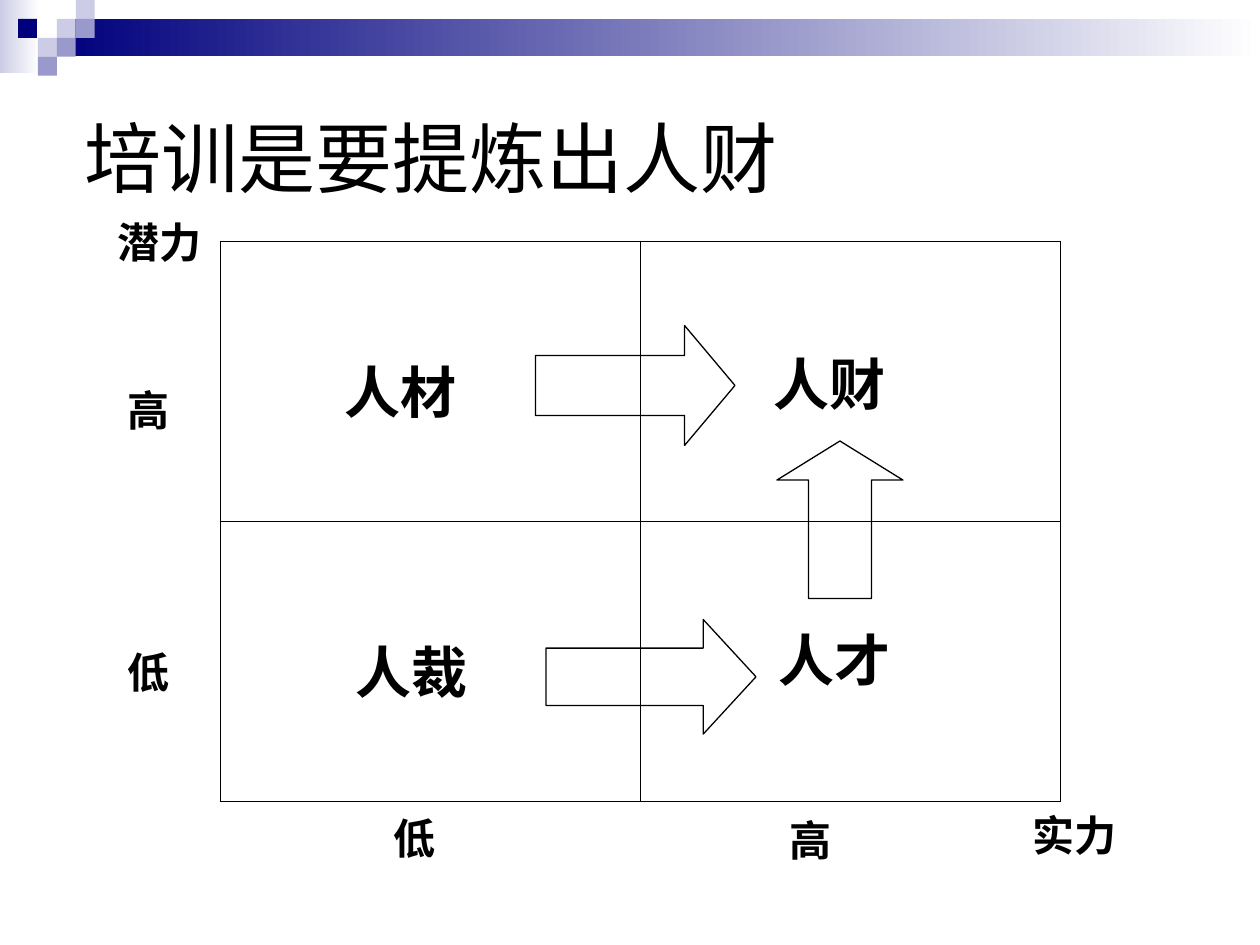
from pptx import Presentation
from pptx.dml.color import RGBColor
from pptx.enum import shapes, text
from pptx.oxml import parse_xml
from pptx.oxml.ns import nsdecls
from pptx.util import Pt

BLACK = RGBColor(0x00, 0x00, 0x00)
WHITE = RGBColor(0xFF, 0xFF, 0xFF)
NAVY = RGBColor(0x00, 0x00, 0x7D)
LILAC = RGBColor(0xCC, 0xCC, 0xE6)
VIOLET = RGBColor(0x99, 0x99, 0xCC)
SHAPE = shapes.MSO_SHAPE

prs = Presentation()
prs.slide_width, prs.slide_height = Pt(720), Pt(540)
slide = prs.slides.add_slide(prs.slide_layouts[5])


def write(tf, words, size=24, font="Times New Roman", bold=True,
          anchor=text.MSO_ANCHOR.TOP):
    tf.word_wrap = True
    tf.auto_size = text.MSO_AUTO_SIZE.NONE
    tf.vertical_anchor = anchor
    p = tf.paragraphs[0]
    p.alignment = text.PP_ALIGN.LEFT
    r = p.add_run()
    r.text = words
    r.font.size, r.font.name, r.font.bold = Pt(size), font, bold
    r.font.color.rgb = BLACK


def add_plain(kind, x, y, w, h):
    sp = slide.shapes.add_shape(kind, Pt(x), Pt(y), Pt(w), Pt(h))
    sp.shadow.inherit = False
    return sp


# Gradient bars at the top
for x, y, w, h, color in [(0, 0, 22.5, 42, LILAC), (32.5, 10.8, 687.5, 21.4, NAVY)]:
    sp = add_plain(SHAPE.RECTANGLE, x, y, w, h)
    sp.line.fill.background()
    sp.fill.gradient()
    sp.fill.gradient_angle = 180
    for stop, c, position in zip(sp.fill.gradient_stops, (WHITE, color), (0, 1)):
        stop.color.rgb = c
        stop.position = position

# Checker squares
SQUARE = 10.8
for x, row, color in [(32.5, 1, LILAC), (43.3, 0, LILAC), (43.3, 1, VIOLET),
                      (21.7, 2, LILAC), (10.3, 1, NAVY), (32.5, 2, VIOLET),
                      (21.7, 3, VIOLET)]:
    sp = add_plain(SHAPE.RECTANGLE, x, row * SQUARE, SQUARE, SQUARE)
    sp.line.fill.background()
    sp.fill.solid()
    sp.fill.fore_color.rgb = color

# Title
title = slide.shapes.title
title.left, title.top, title.width, title.height = Pt(41), Pt(41), Pt(637), Pt(97)
write(title.text_frame, "培训是要提炼出人财", size=44, font="Arial", bold=False,
      anchor=text.MSO_ANCHOR.MIDDLE)

# Two-by-two matrix: heavier outside edges, thin inside edges
table = slide.shapes.add_table(2, 2, Pt(126), Pt(138), Pt(480), Pt(320)).table
table.first_row = table.horz_banding = False
for i in range(2):
    table.columns[i].width = Pt(240)
    table.rows[i].height = Pt(160)
for row in range(2):
    for col in range(2):
        cell = table.cell(row, col)
        outside = {"L": col == 0, "R": col == 1, "T": row == 0, "B": row == 1}
        for side, is_outside in outside.items():
            width = Pt(1.08 if is_outside else 0.45)
            cell._tc.get_or_add_tcPr().append(parse_xml(
                f'<a:ln{side} {nsdecls("a")} w="{width}"><a:solidFill>'
                f'<a:srgbClr val="{BLACK}"/></a:solidFill></a:ln{side}>'))
        cell.fill.background()

# Quadrant names and axis labels
for words, x, y, w, h, size in [
        ("人裁", 196, 361, 120, 46, 32), ("人材", 190, 201, 120, 46, 32),
        ("人财", 435, 196, 120, 46, 32), ("人才", 438, 354, 120, 46, 32),
        ("低", 218, 461, 54, 36, 24), ("高", 444, 462, 54, 36, 24),
        ("低", 66, 366, 54, 36, 24), ("高", 66, 216, 54, 36, 24),
        ("实力", 583, 459, 96, 36, 24), ("潜力", 60, 120, 96, 36, 24)]:
    box = slide.shapes.add_textbox(Pt(x), Pt(y), Pt(w), Pt(h))
    write(box.text_frame, words, size=size)

# Arrows between quadrants
for kind, x, y, w, h, head in [
        (SHAPE.RIGHT_ARROW, 306, 186, 114, 68.5, 0.42),
        (SHAPE.UP_ARROW, 444, 252, 72, 90, 0.31),
        (SHAPE.RIGHT_ARROW, 312, 354, 120, 65.5, 0.46)]:
    sp = add_plain(kind, x, y, w, h)
    sp.adjustments[0], sp.adjustments[1] = 0.5, head
    sp.fill.background()
    sp.line.color.rgb = BLACK
    sp.line.width = Pt(0.75)

prs.save("out.pptx")
